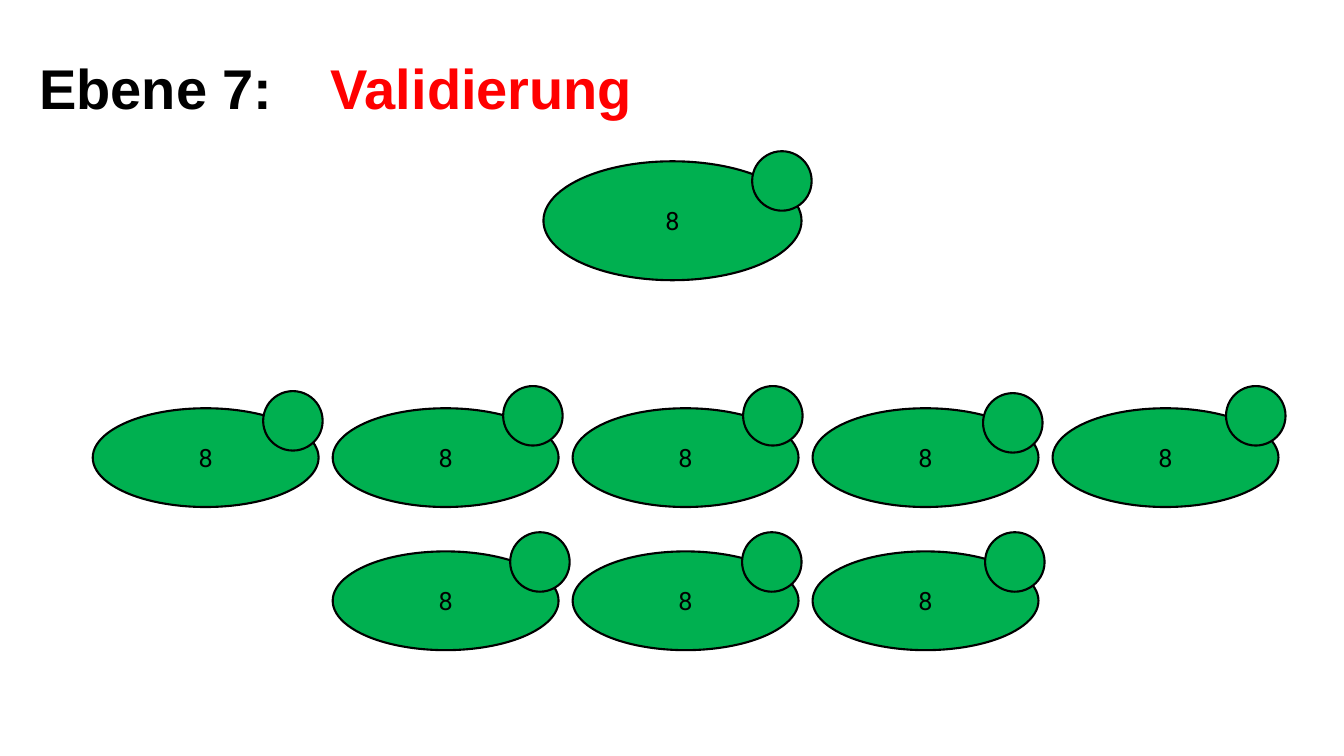
import pptx
import pptx.util
import pptx.dml.color
import pptx.enum.shapes
import pptx.enum.text

INCH = pptx.util.Inches
ALIGN = pptx.enum.text.PP_ALIGN
HUE = {"cell": "00B050", "ink": "000000", "mark": "FF0000"}
HEAD = {"name": "Arial", "size": pptx.util.Pt(40), "bold": True}
BODY = {"name": "Roboto", "size": pptx.util.Pt(18), "bold": False}
FRAME = {
    "word_wrap": True,
    "auto_size": pptx.enum.text.MSO_AUTO_SIZE.NONE,
    "vertical_anchor": pptx.enum.text.MSO_ANCHOR.MIDDLE,
}
BUD = 0.59
LEFT, STEP = 0.92, 2.38
ROWS = [
    (4.05, 0, [(1.69, -0.17), (1.69, -0.22), (1.69, -0.22), (1.69, -0.15), (1.72, -0.22)]),
    (5.47, 1, [(1.76, -0.19), (1.68, -0.19), (1.71, -0.19)]),
]


def tint(key):
    """Return the colour stored under a key."""
    return pptx.dml.color.RGBColor.from_string(HUE[key])


def apply(item, form):
    """Set each format value on an object."""
    for key, value in form.items():
        setattr(item, key, value)


def write(shape, text, form, color, align, lead=1.0):
    """Put one formatted line of text in a shape."""
    frame = shape.text_frame
    apply(frame, FRAME)
    line = frame.paragraphs[0]
    line.text = text
    apply(line, {"alignment": align, "line_spacing": lead})
    apply(line.runs[0].font, form)
    line.runs[0].font.color.rgb = tint(color)


def oval(slide, box):
    """Draw a green outlined ellipse in a box."""
    kind = pptx.enum.shapes.MSO_SHAPE.OVAL
    shape = slide.shapes.add_shape(kind, *map(INCH, box))
    shape.shadow.inherit = False
    shape.fill.solid()
    shape.fill.fore_color.rgb = tint("cell")
    shape.line.color.rgb = tint("ink")
    shape.line.width = pptx.util.Pt(1.5)
    return shape


def yeast(slide, box, shift):
    """Draw a numbered cell in a box with its bud shifted from the corner."""
    write(oval(slide, box), "8", BODY, "ink", ALIGN.CENTER)
    oval(slide, (box[0] + shift[0], box[1] + shift[1], BUD, BUD))


def heading(slide, box, side):
    """Place the title in one box and its red topic in another."""
    title = slide.shapes.title
    apply(title, dict(zip(("left", "top", "width", "height"), map(INCH, box))))
    write(title, "Ebene 7:", HEAD, "ink", ALIGN.LEFT, 0.9)
    topic = slide.shapes.add_textbox(*map(INCH, side))
    write(topic, "Validierung", HEAD, "mark", ALIGN.CENTER, 0.9)


def colony(slide, left, step, size):
    """Draw the rows of daughter cells on a grid of equal columns."""
    for top, first, shifts in ROWS:
        for col, shift in enumerate(shifts, first):
            yeast(slide, (left + col * step, top, *size), shift)


def main():
    """Build and save the slide."""
    deck = pptx.Presentation()
    apply(deck, {"slide_width": INCH(13.33), "slide_height": INCH(7.5)})
    slide = deck.slides.add_slide(deck.slide_layouts[5])
    heading(slide, (0.29, 0.51, 2.63, 0.79), (2.79, 0.26, 3.97, 1.29))
    yeast(slide, (5.39, 1.6, 2.56, 1.18), (2.07, -0.1))
    colony(slide, LEFT, STEP, (2.24, 0.98))
    deck.save("out.pptx")


if __name__ == "__main__":
    main()
